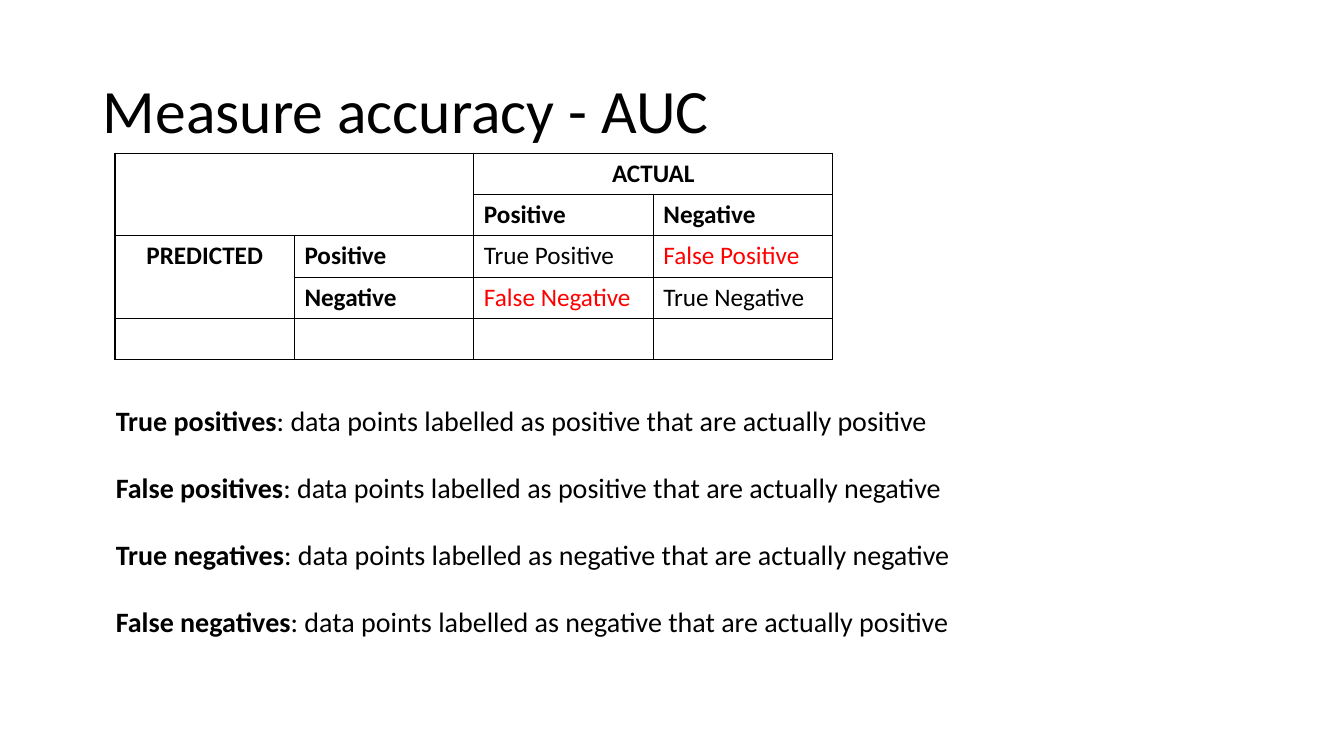
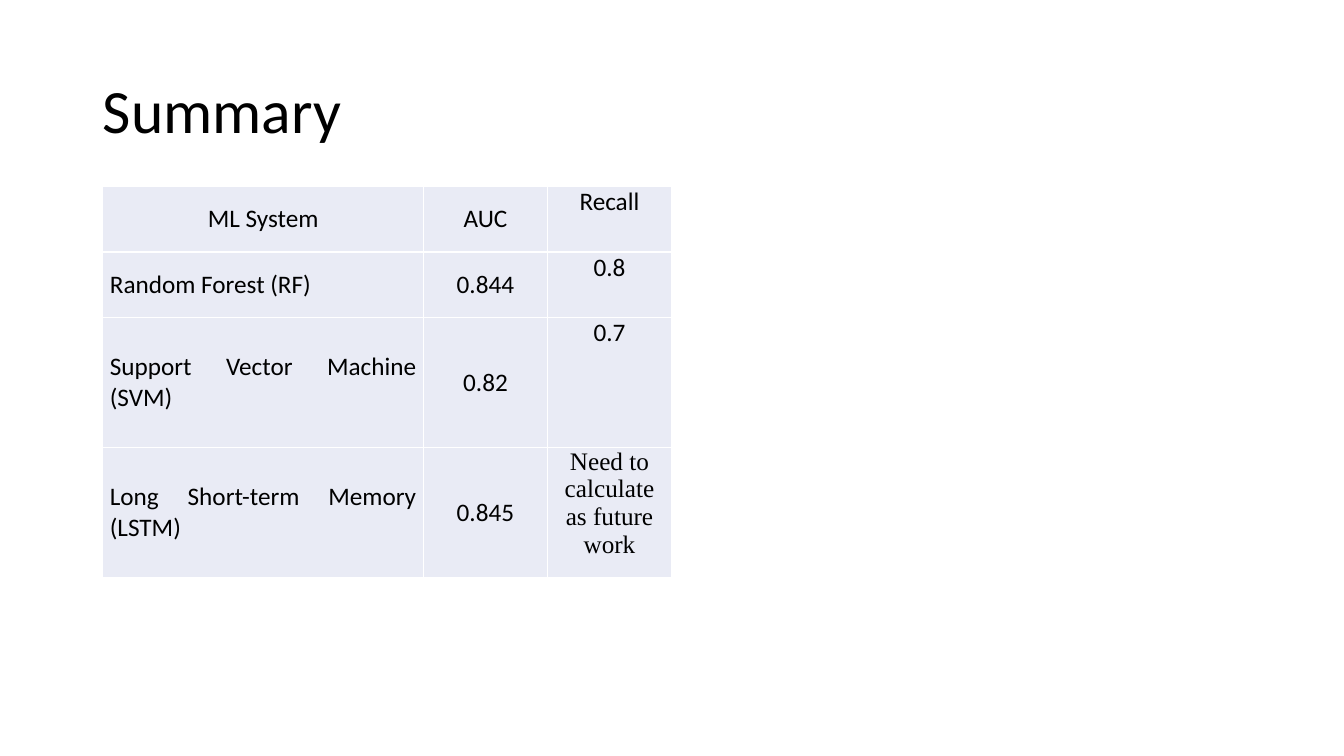
import dataclasses

import pptx
import pptx.dml.color
import pptx.enum.text
import pptx.oxml
import pptx.oxml.ns
import pptx.util

Inches = pptx.util.Inches
Pt = pptx.util.Pt
ALIGN = pptx.enum.text.PP_ALIGN
ANCHOR = pptx.enum.text.MSO_ANCHOR


@dataclasses.dataclass(frozen=True)
class Theme:
    font: str = "Calibri"
    note_font: str = "Times New Roman"
    ink: str = "000000"
    error: str = "FF0000"
    cell_fill: str = "E9EBF5"
    cell_line: str = "FFFFFF"
    title_size: int = 44
    body_size: int = 20
    table_size: int = 18


theme = Theme()


def add_run(paragraph, text, size, color=theme.ink, bold=False, font=theme.font):
    run = paragraph.add_run()
    run.text = text
    run.font.name = font
    run.font.size = Pt(size)
    run.font.bold = bold
    run.font.color.rgb = pptx.dml.color.RGBColor.from_string(color)


def add_plain_table(slide, left, top, widths, heights, line, fill=None):
    """Add a table without banding, with 1 pt borders and one fill for all cells."""
    table = slide.shapes.add_table(
        len(heights), len(widths), Inches(left), Inches(top),
        Inches(sum(widths)), Inches(sum(heights))).table
    table.first_row = table.horz_banding = False
    for column, width in zip(table.columns, widths):
        column.width = Inches(width)
    for row, height in zip(table.rows, heights):
        row.height = Inches(height)
    for cell in table.iter_cells():
        if fill:
            cell.fill.solid()
            cell.fill.fore_color.rgb = pptx.dml.color.RGBColor.from_string(fill)
        else:
            cell.fill.background()
        properties = cell._tc.get_or_add_tcPr()
        for position, side in enumerate(("lnL", "lnR", "lnT", "lnB")):
            properties.insert(position, pptx.oxml.parse_xml(
                f'<a:{side} {pptx.oxml.ns.nsdecls("a")} w="{Pt(1)}">'
                f'<a:solidFill><a:srgbClr val="{line}"/></a:solidFill></a:{side}>'))
    return table


prs = pptx.Presentation()
prs.slide_width = Inches(13.33)
prs.slide_height = Inches(7.5)

slides = []
for heading in ("Measure accuracy - AUC", "Summary"):
    slide = prs.slides.add_slide(prs.slide_layouts[5])
    title = slide.shapes.title
    title.left, title.top = Inches(0.92), Inches(0.4)
    title.width, title.height = Inches(11.5), Inches(1.45)
    title.text_frame.vertical_anchor = ANCHOR.MIDDLE
    paragraph = title.text_frame.paragraphs[0]
    paragraph.alignment = ALIGN.LEFT
    paragraph.line_spacing = 0.9
    add_run(paragraph, heading, theme.title_size)
    slides.append(slide)
accuracy, summary = slides

# Confusion matrix
confusion = add_plain_table(
    accuracy, 1.14, 1.52, [1.78] * 4, [0.41] * 4 + [0.4], theme.ink)
for first, last in (((0, 0), (1, 1)), ((0, 2), (0, 3)), ((2, 0), (3, 0))):
    confusion.cell(*first).merge(confusion.cell(*last))

confusion_rows = [
    ["", "", "ACTUAL", ""],
    ["", "", "Positive", "Negative"],
    ["PREDICTED", "Positive", "True Positive", "False Positive"],
    ["", "Negative", "False Negative", "True Negative"],
]
for row, labels in enumerate(confusion_rows):
    for column, label in enumerate(labels):
        if label:
            paragraph = confusion.cell(row, column).text_frame.paragraphs[0]
            paragraph.alignment = ALIGN.CENTER if label.isupper() else ALIGN.LEFT
            add_run(paragraph, label, theme.table_size,
                    color=theme.error if label.startswith("False") else theme.ink,
                    bold=row < 2 or column < 2)

# Definitions
definitions = accuracy.shapes.add_textbox(
    Inches(1.05), Inches(3.95), Inches(8.7), Inches(2.79)).text_frame
definitions.word_wrap = True
outcomes = [
    ("True positives", "positive", "positive"),
    ("False positives", "positive", "negative"),
    ("True negatives", "negative", "negative"),
    ("False negatives", "negative", "positive"),
]
for index, (term, labelled, actual) in enumerate(outcomes):
    paragraph = definitions.add_paragraph() if index else definitions.paragraphs[0]
    if index:
        paragraph.space_before = Pt(24)
    add_run(paragraph, term, theme.body_size, bold=True)
    add_run(paragraph,
            f": data points labelled as {labelled} that are actually {actual}",
            theme.body_size)

# Results by system
results = add_plain_table(
    summary, 1.02, 1.85, [3.18, 1.23, 1.23], [0.65, 0.65, 1.29, 1.29],
    theme.cell_line, theme.cell_fill)
result_rows = [
    ["ML System", "AUC", "Recall"],
    ["Random Forest (RF)", "0.844", "0.8"],
    ["Support Vector Machine (SVM)", "0.82", "0.7"],
    ["Long Short-term Memory (LSTM)", "0.845", "Need to calculate as future work"],
]
for row, entries in enumerate(result_rows):
    for column, entry in enumerate(entries):
        cell = results.cell(row, column)
        cell.margin_left = cell.margin_right = Inches(0.07)
        cell.margin_top = cell.margin_bottom = 0
        cell.vertical_anchor = ANCHOR.TOP if column == 2 else ANCHOR.MIDDLE
        paragraph = cell.text_frame.paragraphs[0]
        is_system = row > 0 and column == 0
        paragraph.alignment = ALIGN.JUSTIFY if is_system else ALIGN.CENTER
        add_run(paragraph, entry, theme.table_size,
                font=theme.note_font if entry.startswith("Need") else theme.font)

prs.save("out.pptx")
